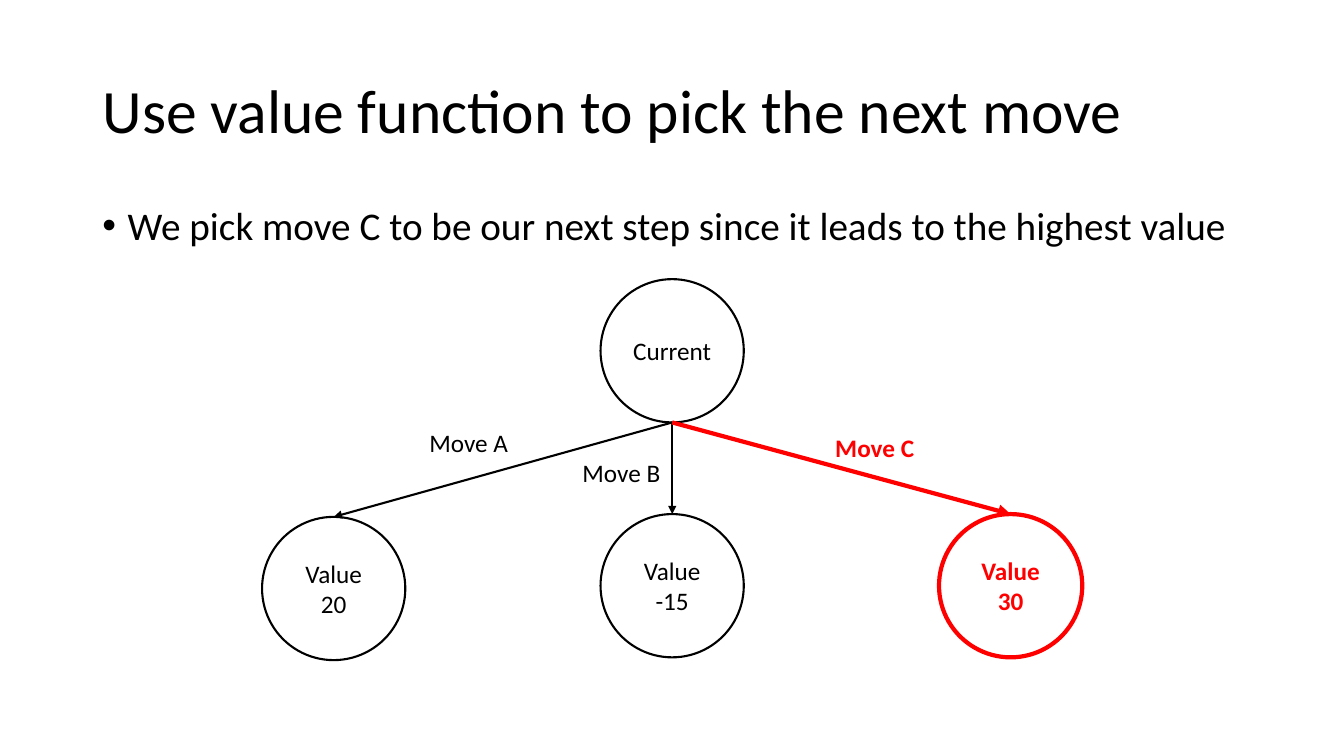
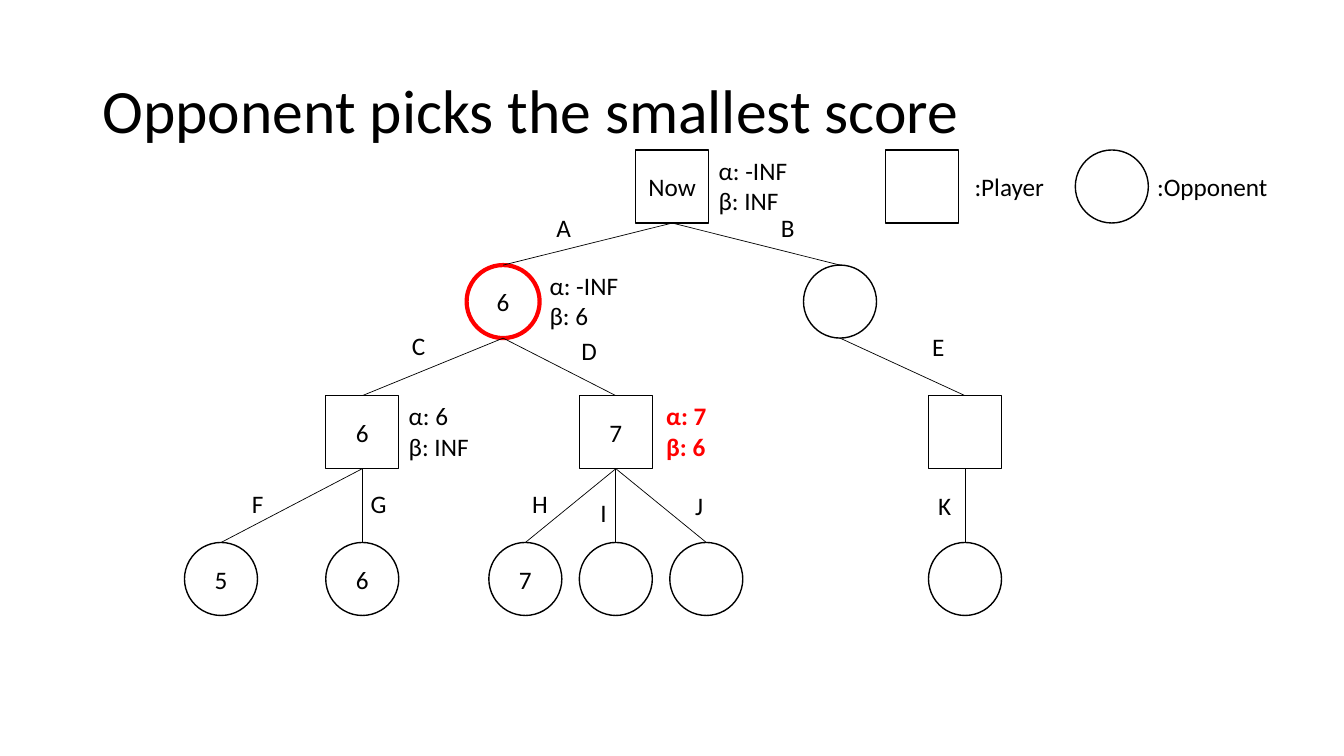
"""Build two slides on choosing moves in a game tree."""
from dataclasses import dataclass
from typing import Any

import lxml.etree
import pptx
import pptx.dml.color
import pptx.enum.shapes
import pptx.enum.text
import pptx.oxml.ns
import pptx.util

Cm = pptx.util.Cm
Pt = pptx.util.Pt
SHAPES = pptx.enum.shapes.MSO_SHAPE
ANCHORS = pptx.enum.text.MSO_ANCHOR
ALIGNMENTS = pptx.enum.text.PP_ALIGN
AUTO_SIZES = pptx.enum.text.MSO_AUTO_SIZE

BLACK = "000000"
RED = "FF0000"
FONT = "Calibri"
MARGIN, CONTENT_WIDTH = 2.33, 29.21
TITLE_BOX = {"left": Cm(MARGIN), "top": Cm(1.01),
             "width": Cm(CONTENT_WIDTH), "height": Cm(3.68)}
CENTRE = 16.94
LABEL_HEIGHT = 1.02

MOVE_SIZE, MOVE_SPACING = 3.61, 8.53
TREE_SIZE = 1.84
LEVEL_Y = (4.7, 7.6, 10.89, 14.59)
BOUNDS_WIDTH, BOUNDS_HEIGHT = 2.31, 1.8


@dataclass(frozen=True)
class Node:
    """An outlined shape, placed by its centre in centimetres."""
    text: str
    x: float
    y: float
    size: float
    kind: Any = SHAPES.OVAL
    line: str = BLACK
    weight: float = 1
    color: str = BLACK
    bold: bool = False


@dataclass(frozen=True)
class Label:
    """A text box, placed by its top left corner in centimetres."""
    text: str
    left: float
    top: float
    width: float
    height: float = LABEL_HEIGHT
    color: str = BLACK
    bold: bool = False


@dataclass(frozen=True)
class Move:
    """A possible move with the value it leads to."""
    value: str
    y: float
    label: Label
    weight: float = 1.5


@dataclass(frozen=True)
class Position:
    """A position in the search tree and the move that leads to it."""
    name: str
    x: float
    level: int
    parent: str = ""
    score: str = ""
    move: str = ""
    move_left: float = 0
    move_top: float = 0
    bounds: str = ""
    bounds_gap: float = 0
    line: str = BLACK
    bounds_color: str = BLACK


MOVES = (
    Move("20", 14.83, Label("Move A", 10.57, 10.64, 2.54)),
    Move("-15", 14.76, Label("Move B", 14.43, 11.4, 2.54)),
    Move("30", 14.76, Label("Move C", 20.8, 10.77, 2.54,
                            color=RED, bold=True), weight=3),
)

POSITIONS = (
    Position("root", CENTRE, 0, score="Now", bounds="α: -INF\nβ: INF"),
    Position("A", 12.68, 1, "root", "6", "A", 13.77, 5.23,
             "α: -INF\nβ: 6", line=RED),
    Position("B", 21.17, 1, "root", "", "B", 19.43, 5.23),
    Position("C", 9.13, 2, "A", "6", "C", 10.13, 8.2, "α: 6\nβ: INF"),
    Position("D", 15.52, 2, "A", "7", "D", 14.4, 8.33, "α: 7\nβ: 6",
             bounds_gap=0.1, bounds_color=RED),
    Position("E", 24.32, 2, "B", "", "E", 23.24, 8.23),
    Position("F", 5.57, 3, "C", "5", "F", 6.1, 12.19),
    Position("G", 9.13, 3, "C", "6", "G", 9.09, 12.19),
    Position("H", 13.24, 3, "D", "7", "H", 13.16, 12.19),
    Position("I", 15.52, 3, "D", "", "I", 14.88, 12.4),
    Position("J", 17.8, 3, "D", "", "J", 17.27, 12.22),
    Position("K", 24.32, 3, "E", "", "K", 23.39, 12.22),
)

LEGEND = (
    (Node("", 23.24, LEVEL_Y[0], TREE_SIZE, SHAPES.RECTANGLE),
     Label(":Player", 24.31, 4.19, 2.49)),
    (Node("", 28.02, LEVEL_Y[0], TREE_SIZE),
     Label(":Opponent", 28.91, 4.19, 3.4)),
)


def apply_format(target: Any, values: dict[str, Any]) -> None:
    """Set each named attribute of the target."""
    for name, value in values.items():
        setattr(target, name, value)


def rgb(color: str) -> pptx.dml.color.RGBColor:
    """Turn a hex string into a colour."""
    return pptx.dml.color.RGBColor.from_string(color)


def write_text(frame: Any, text: str, size: float, color: str = BLACK,
               bold: bool = False, alignment: Any = ALIGNMENTS.LEFT,
               line_spacing: float = 1.0) -> None:
    """Write the lines of a text as formatted paragraphs."""
    frame.text = text
    for paragraph in frame.paragraphs:
        apply_format(paragraph, {"alignment": alignment,
                                 "line_spacing": line_spacing})
        for run in paragraph.runs:
            apply_format(run.font, {"name": FONT, "size": Pt(size), "bold": bold})
            run.font.color.rgb = rgb(color)


def add_titled_slide(presentation: Any, title: str) -> Any:
    """Add a title-only slide and format its title."""
    slide = presentation.slides.add_slide(presentation.slide_layouts[5])
    placeholder = slide.shapes.title
    apply_format(placeholder, TITLE_BOX)
    apply_format(placeholder.text_frame, {
        "vertical_anchor": ANCHORS.MIDDLE, "word_wrap": True,
        "auto_size": AUTO_SIZES.NONE})
    write_text(placeholder.text_frame, title, 44, line_spacing=0.9)
    return slide


def add_bullet(slide: Any, text: str) -> None:
    """Add the bulleted statement below the title."""
    shape = slide.shapes.add_textbox(Cm(MARGIN), Cm(5.08),
                                     Cm(CONTENT_WIDTH), Cm(1.57))
    shape.text_frame.word_wrap = True
    write_text(shape.text_frame, text, 28, line_spacing=0.9)
    paragraph = shape.text_frame.paragraphs[0]
    paragraph.space_before = Pt(10)
    properties = paragraph._p.get_or_add_pPr()
    indent = Cm(0.64)
    properties.set("marL", str(indent))
    properties.set("indent", str(-indent))
    for tag, attribute, value in (("a:buFont", "typeface", "Arial"),
                                  ("a:buChar", "char", "•")):
        bullet = lxml.etree.SubElement(properties, pptx.oxml.ns.qn(tag))
        bullet.set(attribute, value)


def draw_node(slide: Any, node: Node) -> None:
    """Draw an outlined shape with centred text."""
    shape = slide.shapes.add_shape(
        node.kind, Cm(node.x - node.size / 2), Cm(node.y - node.size / 2),
        Cm(node.size), Cm(node.size))
    shape.shadow.inherit = False
    shape.fill.background()
    shape.line.color.rgb = rgb(node.line)
    shape.line.width = Pt(node.weight)
    if node.text:
        shape.text_frame.vertical_anchor = ANCHORS.MIDDLE
        write_text(shape.text_frame, node.text, 18, node.color, node.bold,
                   ALIGNMENTS.CENTER)


def draw_label(slide: Any, label: Label) -> None:
    """Draw a left-aligned text box."""
    shape = slide.shapes.add_textbox(Cm(label.left), Cm(label.top),
                                     Cm(label.width), Cm(label.height))
    apply_format(shape.text_frame, {"word_wrap": True,
                                    "auto_size": AUTO_SIZES.SHAPE_TO_FIT_TEXT})
    write_text(shape.text_frame, label.text, 18, label.color, label.bold)


def draw_branch(slide: Any, parent: Node, child: Node, weight: float,
                color: str = BLACK, arrow: bool = False) -> None:
    """Draw a line from the bottom of the parent to the top of the child."""
    connector = slide.shapes.add_connector(
        pptx.enum.shapes.MSO_CONNECTOR.STRAIGHT,
        Cm(parent.x), Cm(parent.y + parent.size / 2),
        Cm(child.x), Cm(child.y - child.size / 2))
    connector.line.color.rgb = rgb(color)
    connector.line.width = Pt(weight)
    if arrow:
        tail = lxml.etree.SubElement(connector.line._get_or_add_ln(),
                                     pptx.oxml.ns.qn("a:tailEnd"))
        tail.set("type", "triangle")
    lxml.etree.SubElement(connector._element.spPr,
                          pptx.oxml.ns.qn("a:effectLst"))


def build_move_slide(presentation: Any) -> None:
    """Show the three moves and mark the best one."""
    slide = add_titled_slide(presentation,
                             "Use value function to pick the next move")
    add_bullet(slide, "We pick move C to be our next step since it leads "
                      "to the highest value")
    current = Node("Current", CENTRE, 8.84, MOVE_SIZE, weight=1.5)
    draw_node(slide, current)
    for column, move in enumerate(MOVES, start=-1):
        color = move.label.color
        node = Node(f"Value\n{move.value}", CENTRE + column * MOVE_SPACING,
                    move.y, MOVE_SIZE, line=color, weight=move.weight,
                    color=color, bold=move.label.bold)
        draw_node(slide, node)
        draw_branch(slide, current, node, move.weight, color, arrow=True)
        draw_label(slide, move.label)


def tree_node(position: Position) -> Node:
    """Give the player a square and the opponent a circle, level by level."""
    kind = SHAPES.OVAL if position.level % 2 else SHAPES.RECTANGLE
    return Node(position.score, position.x, LEVEL_Y[position.level], TREE_SIZE,
                kind, position.line, 3 if position.line == RED else 1)


def build_tree_slide(presentation: Any) -> None:
    """Show the search tree with its bounds and legend."""
    slide = add_titled_slide(presentation, "Opponent picks the smallest score")
    nodes = {position.name: tree_node(position) for position in POSITIONS}
    for position in POSITIONS:
        node = nodes[position.name]
        draw_node(slide, node)
        if position.parent:
            draw_branch(slide, nodes[position.parent], node, 0.5)
            draw_label(slide, Label(position.move, position.move_left,
                                    position.move_top, 0.81))
        if position.bounds:
            draw_label(slide, Label(
                position.bounds, node.x + node.size / 2 + position.bounds_gap,
                node.y - node.size / 2, BOUNDS_WIDTH, BOUNDS_HEIGHT,
                position.bounds_color, position.bounds_color == RED))
    for node, label in LEGEND:
        draw_node(slide, node)
        draw_label(slide, label)


def main() -> None:
    """Build and save the presentation."""
    presentation = pptx.Presentation()
    apply_format(presentation, {"slide_width": Cm(33.87),
                                "slide_height": Cm(19.05)})
    build_move_slide(presentation)
    build_tree_slide(presentation)
    presentation.save("out.pptx")


main()
